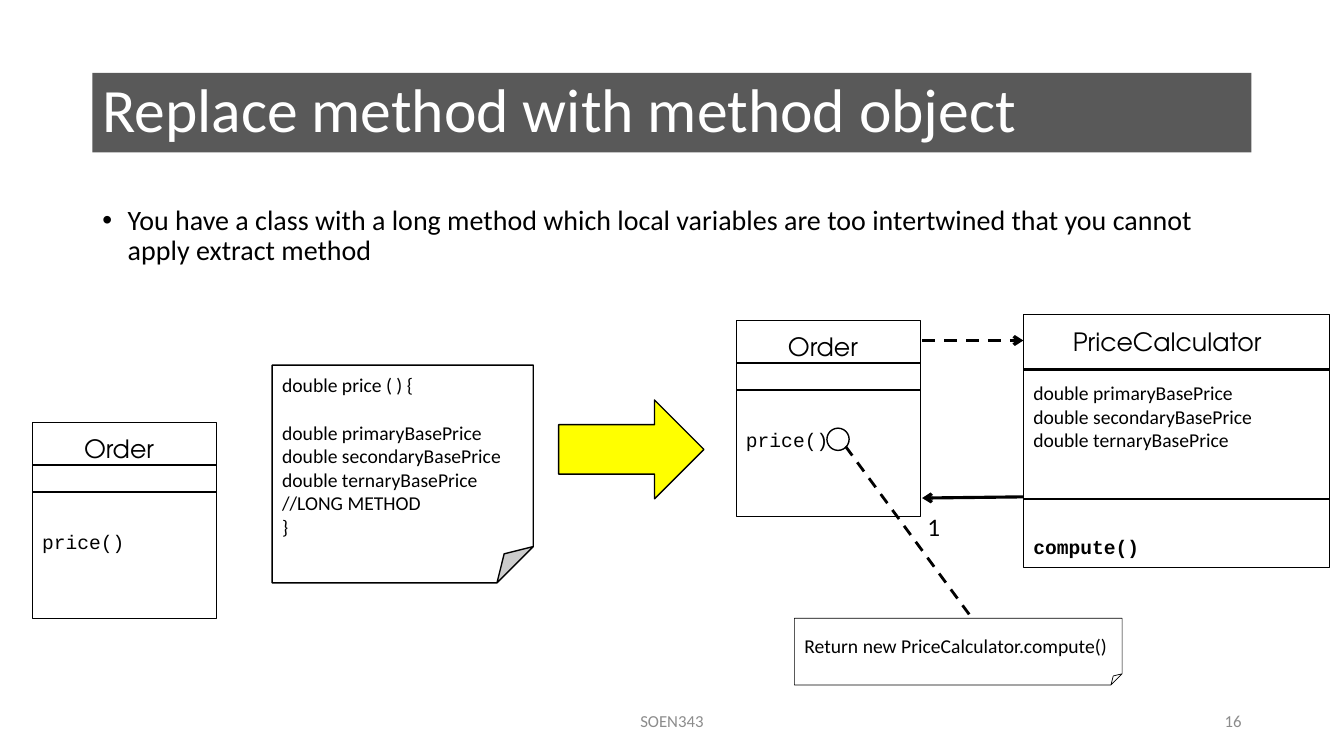
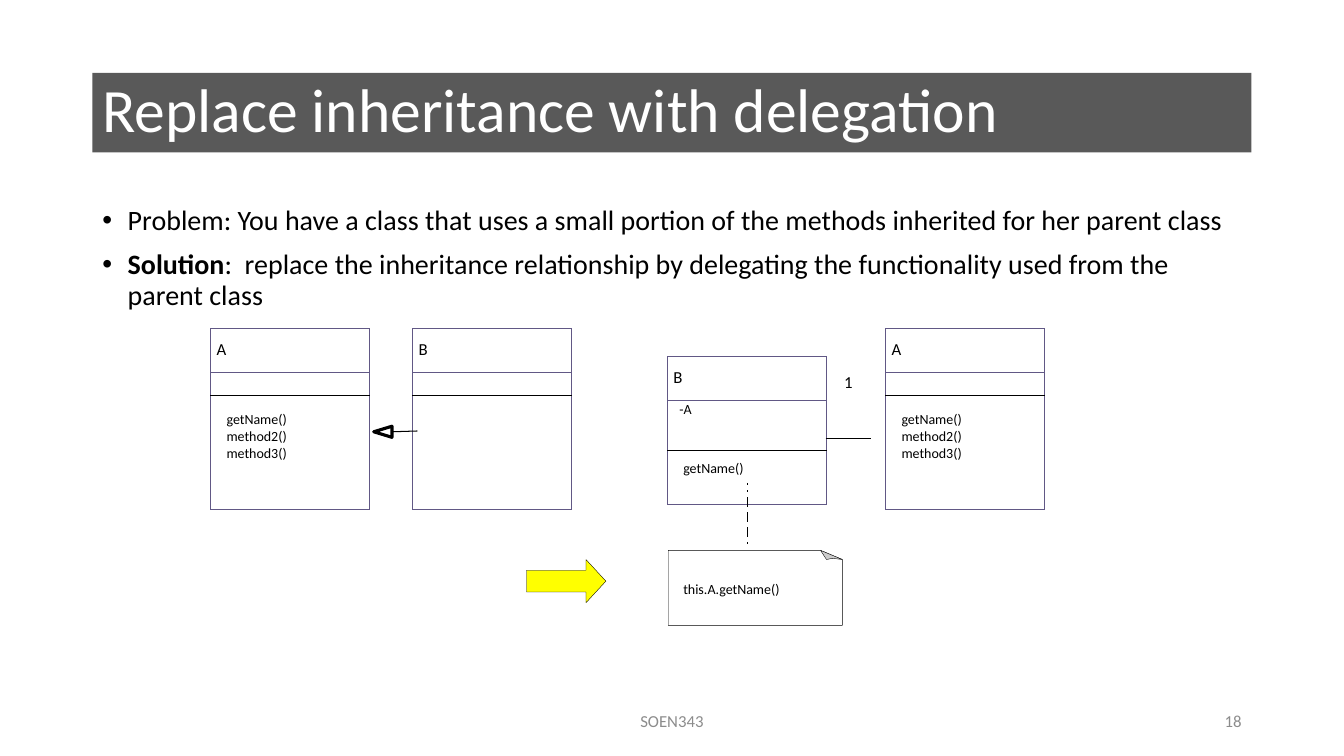
from dataclasses import dataclass

from lxml import etree
from pptx import Presentation
from pptx import util as u
from pptx.dml.color import RGBColor
from pptx.enum import dml, shapes, text
from pptx.oxml.ns import qn


@dataclass(frozen=True)
class Theme:
    black: RGBColor = RGBColor(0, 0, 0)
    white: RGBColor = RGBColor(255, 255, 255)
    band: RGBColor = RGBColor.from_string("595959")
    footer: RGBColor = RGBColor.from_string("8C8C8C")
    arrow: RGBColor = RGBColor.from_string("FFFF00")
    fold: RGBColor = RGBColor.from_string("CCCCCC")
    border: str = "615885"
    rule: str = "000000"
    body_font: str = "Calibri"
    code_font: str = "Courier New"
    name_font: str = "TeX Gyre Adventor"
    title_size: int = 44
    body_size: int = 20
    name_size: int = 18
    code_size: int = 14
    small_size: int = 12
    method_size: int = 10


theme = Theme()
LEFT, CENTER, RIGHT = text.PP_ALIGN.LEFT, text.PP_ALIGN.CENTER, text.PP_ALIGN.RIGHT
TOP, MIDDLE = text.MSO_ANCHOR.TOP, text.MSO_ANCHOR.MIDDLE
Preset = shapes.MSO_SHAPE


def write_text(frame, lines, size, color=theme.black, font=theme.body_font,
               align=LEFT, anchor=TOP, bold=False, inset=None):
    frame.word_wrap = True
    frame.vertical_anchor = anchor
    if inset is not None:
        frame.margin_left = frame.margin_right = u.Cm(inset)
        frame.margin_top = frame.margin_bottom = u.Cm(inset)
    frame.text = "\n".join(lines)
    for paragraph in frame.paragraphs:
        paragraph.alignment = align
        paragraph.font.name = font
        paragraph.font.size = u.Pt(size)
        paragraph.font.color.rgb = color
        paragraph.font.bold = bold


def add_line(slide, start, end, weight, dashed=False, arrow=False):
    connector = slide.shapes.add_connector(
        shapes.MSO_CONNECTOR.STRAIGHT, *map(u.Cm, (*start, *end)))
    connector.line.color.rgb = theme.black
    connector.line.width = u.Pt(weight)
    if dashed:
        connector.line.dash_style = dml.MSO_LINE.DASH
    properties = connector._element.spPr
    if arrow:
        etree.SubElement(properties.find(qn("a:ln")), qn("a:tailEnd"), type="arrow")
    etree.SubElement(properties, qn("a:effectLst"))


presentation = Presentation()
presentation.slide_width = u.Cm(33.87)
presentation.slide_height = u.Cm(19.05)

pages = [
    ("Replace method with method object", "16", [
        [("You have a class with a long method which local variables are too "
          "intertwined that you cannot apply extract method", False)],
    ]),
    ("Replace inheritance with delegation", "18", [
        [("Problem: You have a class that uses a small portion of the methods "
          "inherited for her parent class", False)],
        [("Solution", True),
         (":  replace the inheritance relationship by delegating the functionality "
          "used from the parent class", False)],
    ]),
]

for title, number, bullets in pages:
    slide = presentation.slides.add_slide(presentation.slide_layouts[6])
    band = slide.shapes.add_shape(Preset.RECTANGLE, *map(u.Cm, (2.33, 1.84, 29.21, 2)))
    band.shadow.inherit = False
    band.fill.solid()
    band.fill.fore_color.rgb = theme.band
    band.line.fill.background()
    write_text(band.text_frame, [title], theme.title_size, theme.white, anchor=MIDDLE)
    band.text_frame.paragraphs[0].line_spacing = 0.9

    body = slide.shapes.add_textbox(*map(u.Cm, (2.33, 5.08, 29.21, 3))).text_frame
    write_text(body, ["" for bullet in bullets], theme.body_size)
    for paragraph, runs in zip(body.paragraphs, bullets):
        paragraph.line_spacing = 0.9
        paragraph.space_before = u.Pt(10)
        for wording, bold in runs:
            run = paragraph.add_run()
            run.text = wording
            run.font.bold = bold
            run.font.size = u.Pt(theme.body_size)
            run.font.name = theme.body_font
            run.font.color.rgb = theme.black
        properties = paragraph._p.get_or_add_pPr()
        properties.set("marL", str(u.Cm(0.64)))
        properties.set("indent", str(-u.Cm(0.64)))
        bullet_font = etree.Element(qn("a:buFont"), typeface="Arial")
        bullet_mark = etree.Element(qn("a:buChar"), char="•")
        spacing = properties.find(qn("a:spcBef"))
        spacing.addnext(bullet_font)
        bullet_font.addnext(bullet_mark)

    for wording, left, width, align in [("SOEN343", 11.22, 11.43, CENTER),
                                        (number, 23.92, 7.62, RIGHT)]:
        footer = slide.shapes.add_textbox(*map(u.Cm, (left, 17.65, width, 1.02)))
        write_text(footer.text_frame, [wording], theme.small_size, theme.footer,
                   align=align, anchor=MIDDLE)

method_slide, delegation_slide = presentation.slides

fields = ["double primaryBasePrice", "double secondaryBasePrice", "double ternaryBasePrice"]
long_method = ["double price ( ) {", *fields, "//LONG METHOD", "}"]
order_box = (4.65, 4.94)
calculator_box = (7.72, 6.38)
order_position, new_order_position = (0.81, 10.64), (18.55, 8.07)
calculator_position = (25.79, 7.91)

drawn_shapes = [
    (method_slide, Preset.RIGHT_ARROW, (14.08, 10.08, 3.66, 2.49), theme.arrow, 1, []),
    (method_slide, Preset.FOLDED_CORNER, (6.86, 9.2, 6.58, 5.49), theme.white, 1, long_method),
    (method_slide, Preset.RECTANGLE, order_position + order_box, None, 0.5, []),
    (method_slide, Preset.RECTANGLE, new_order_position + order_box, None, 0.5, []),
    (method_slide, Preset.RECTANGLE, calculator_position + calculator_box, None, 0.5, []),
    (method_slide, Preset.FOLDED_CORNER, (20.02, 15.58, 8.26, 1.68), None, 0.5,
     ["Return new PriceCalculator.compute()"]),
    (method_slide, Preset.OVAL, (20.84, 10.79, 0.56, 0.56), None, 1, []),
    (delegation_slide, Preset.RIGHT_ARROW, (13.27, 14.1, 2, 1.09), theme.arrow, 0.25, []),
    (delegation_slide, Preset.ISOSCELES_TRIANGLE, (9.51, 10.65, 0.28, 0.46), None, 2.25, []),
]
for slide, preset, box, fill, weight, lines in drawn_shapes:
    shape = slide.shapes.add_shape(preset, *map(u.Cm, box))
    shape.shadow.inherit = False
    if fill is None:
        shape.fill.background()
    else:
        shape.fill.solid()
        shape.fill.fore_color.rgb = fill
    shape.line.color.rgb = theme.black
    shape.line.width = u.Pt(weight)
    if lines:
        write_text(shape.text_frame, lines, theme.code_size, anchor=MIDDLE)
    if lines == long_method:
        shape.text_frame.paragraphs[1].space_before = u.Pt(17)
    if preset == Preset.ISOSCELES_TRIANGLE:
        shape.rotation = 270
    if slide == delegation_slide and preset == Preset.RIGHT_ARROW:
        shape.adjustments[1] = 0.46

order_members = [(2.58, ["price()"], theme.code_font, False)]
calculator_members = [(1.57, fields, theme.body_font, False),
                      (5.45, ["compute()"], theme.code_font, True)]
classes = [
    ("Order", order_position, 4.65, (0.21, 0.15, 3.96), (1.08, 1.76), order_members),
    ("Order", new_order_position, 4.65, (0.21, 0.15, 3.96), (1.08, 1.76), order_members),
    ("PriceCalculator", calculator_position, 7.72, (0.35, 0.18, 6.55), (1.4, 4.67),
     calculator_members),
]
for name, (left, top), width, (name_left, name_top, name_width), dividers, members in classes:
    for divider in dividers:
        add_line(method_slide, (left, top + divider), (left + width, top + divider), 1.5)
    box = (left + name_left, top + name_top, name_width, 0.9)
    name_frame = method_slide.shapes.add_textbox(*map(u.Cm, box)).text_frame
    write_text(name_frame, [name], theme.name_size, font=theme.name_font, align=CENTER)
    for offset, lines, font, bold in members:
        box = (left, top + offset, width, 0.6 * len(lines))
        member_frame = method_slide.shapes.add_textbox(*map(u.Cm, box)).text_frame
        write_text(member_frame, lines, theme.code_size, font=font, bold=bold)

add_line(method_slide, (23.24, 8.58), (25.79, 8.58), 2.25, dashed=True, arrow=True)
add_line(method_slide, (25.79, 12.52), (23.24, 12.55), 2.25, arrow=True)
add_line(method_slide, (21.31, 11.25), (24.49, 15.57), 2, dashed=True)
multiplicity = method_slide.shapes.add_textbox(*map(u.Cm, (23.12, 12.75, 0.86, 1.02)))
write_text(multiplicity.text_frame, ["1"], theme.name_size)

methods = ["getName()", "method2()", "method3()"]
plain_rows, plain_columns = (1.11, 0.58, 2.88), (4,)
delegate_rows, delegate_columns = (1.11, 0.93, 0.31, 1.37), (4, 1.12)
delegate_merges = [((1, 0), (2, 0)), ((0, 1), (1, 1)), ((2, 1), (3, 1))]
class_tables = [
    (5.31, 8.28, plain_rows, plain_columns, [], (["A"], [], methods), 0.39),
    (10.4, 8.28, plain_rows, plain_columns, [], (["B"], [], []), 0.39),
    (16.82, 8.99, delegate_rows, delegate_columns, delegate_merges,
     (["B"], ["-A"], [], methods[:1]), 0.26),
    (22.32, 8.28, plain_rows, plain_columns, [], (["A"], [], methods), 0.4),
]
for left, top, heights, widths, merges, contents, method_gap in class_tables:
    box = (left, top, sum(widths), sum(heights))
    table = delegation_slide.shapes.add_table(
        len(heights), len(widths), *map(u.Cm, box)).table
    table.first_row = table.horz_banding = False
    for column, width in enumerate(widths):
        table.columns[column].width = u.Cm(width)
    for first, last in merges:
        table.cell(*first).merge(table.cell(*last))
    last_row = len(heights) - 1
    for row, height in enumerate(heights):
        table.rows[row].height = u.Cm(height)
        for column in range(len(widths)):
            cell = table.cell(row, column)
            lines, size, indent, gap, align = contents[row], theme.method_size, 0.3, 0.02, LEFT
            top_color = theme.rule if row == last_row else theme.border
            bottom_color = theme.rule if 0 < row < last_row else theme.border
            right_color, rule_weight = theme.border, 0.75
            if column == 1:
                lines = ["1"] if row == 0 else []
                size, indent, gap, align = theme.small_size, 0, 0.41, CENTER
                top_color = theme.rule if row == 2 else None
                bottom_color = theme.rule if row < 2 else None
                right_color, rule_weight = None, 0.25
            elif row == 0:
                size, indent, gap = theme.small_size, 0.15, 0.28
            elif row == last_row:
                indent, gap = 0.4, method_gap
            if cell.is_spanned:
                gap = 0
            write_text(cell.text_frame, lines, size, align=align)
            cell.margin_left, cell.margin_top = u.Cm(indent), u.Cm(gap)
            cell.margin_right = cell.margin_bottom = 0
            cell.fill.background()
            sides = [("a:lnL", theme.border, 0.75), ("a:lnR", right_color, 0.75),
                     ("a:lnT", top_color, rule_weight), ("a:lnB", bottom_color, rule_weight)]
            properties = cell._tc.get_or_add_tcPr()
            for position, (side, color, weight) in enumerate(sides):
                border = etree.Element(qn(side), w=str(u.Pt(weight)))
                if color:
                    solid = etree.SubElement(border, qn("a:solidFill"))
                    etree.SubElement(solid, qn("a:srgbClr"), val=color)
                else:
                    etree.SubElement(border, qn("a:noFill"))
                properties.insert(position, border)

add_line(delegation_slide, (10.52, 10.86), (9.88, 10.88), 0.75)

dash_top = 12.17
for dash_length in (0.05, 0.05, 0.25, 0.25, 0.25, 0.05):
    add_line(delegation_slide, (18.82, dash_top), (18.82, dash_top + dash_length), 0.25)
    dash_top += dash_length + 0.13

note_outline = [(16.84, 15.76), (21.23, 15.76), (21.23, 14.1), (20.68, 13.87), (16.84, 13.87)]
note_fold = [(20.68, 13.87), (20.83, 14.1), (20.98, 14.07), (21.23, 14.1)]
for points, fill in [(note_outline, None), (note_fold, theme.fold)]:
    corners = [(u.Cm(x), u.Cm(y)) for x, y in points]
    builder = delegation_slide.shapes.build_freeform(*corners[0])
    builder.add_line_segments(corners[1:], close=True)
    outline = builder.convert_to_shape()
    outline.shadow.inherit = False
    if fill is None:
        outline.fill.background()
    else:
        outline.fill.solid()
        outline.fill.fore_color.rgb = fill
    outline.line.color.rgb = theme.black
    outline.line.width = u.Pt(0.25)

note_label = delegation_slide.shapes.add_textbox(*map(u.Cm, (17.22, 14.63, 3.23, 0.46)))
write_text(note_label.text_frame, ["this.A.getName()"], theme.method_size, inset=0)

presentation.save("out.pptx")
